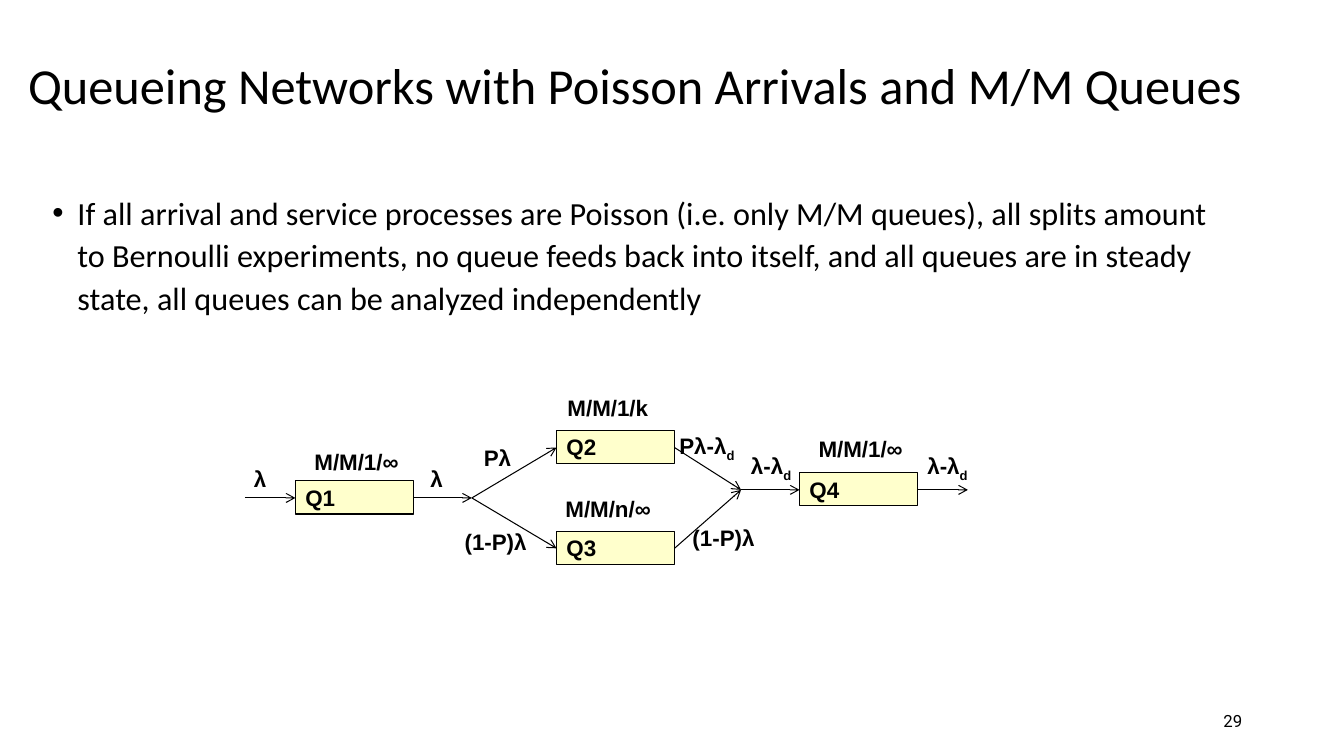
from lxml.etree import SubElement
from pptx import Presentation
from pptx.dml.color import RGBColor
from pptx.enum.shapes import MSO_CONNECTOR, MSO_SHAPE
from pptx.enum.text import MSO_ANCHOR, PP_ALIGN
from pptx.oxml.ns import qn
from pptx.util import Pt

PX = 9144
HUE = {"ink": "000000", "box": "FFFFCC"}
BOX = (117, 33)
QUEUES = {"Q1": (293, 477), "Q2": (552, 427), "Q3": (552, 527), "Q4": (793, 469)}
FORK, JOIN = (468, 494), (735, 486)
LABELS = [
    ("M/M/1/∞", 302, 440, 105),
    ("M/M/1/∞", 802, 427, 105),
    ("M/M/n/∞", 551, 486, 106),
    ("M/M/1/k", 553, 386, 102),
    ("λ", 242, 457, 33),
    ("λ", 417, 457, 33),
    ("Pλ", 470, 436, 48),
    ("(1-P)λ", 451, 519, 83),
    ("(1-P)λ", 677, 515, 83),
    ("Pλ-λ_d", 664, 424, 77),
    ("λ-λ_d", 910, 444, 63),
    ("λ-λ_d", 735, 444, 63),
]


def emu(*vals):
    """Turn px lengths into EMU."""
    return [v * PX for v in vals]


def tint(name):
    """Return the named colour."""
    return RGBColor.from_string(HUE[name])


def write(shape, text, size=16, font="Arial", bold=False, wrap=True,
          anchor=MSO_ANCHOR.TOP, align=PP_ALIGN.LEFT, gap=None, lead=None):
    """Fill a shape with one paragraph; an underscore starts a subscript."""
    frame = shape.text_frame
    frame.word_wrap, frame.vertical_anchor = wrap, anchor
    para = frame.paragraphs[0]
    para.alignment, para.space_before, para.line_spacing = align, gap, lead
    for i, part in enumerate(text.split("_")):
        run = para.add_run()
        run.text = part
        run.font.size, run.font.name, run.font.bold = Pt(size), font, bold
        run.font.color.rgb = tint("ink")
        if i:
            run._r.get_or_add_rPr().set("baseline", "-25000")
    return para


def label(slide, text, box, **form):
    """Add a text box and return its paragraph."""
    return write(slide.shapes.add_textbox(*emu(*box)), text, **form)


def bullet(para, dent):
    """Give a paragraph a hanging bullet."""
    props = para._p.get_or_add_pPr()
    props.set("marL", str(dent * PX))
    props.set("indent", str(-dent * PX))
    SubElement(props, qn("a:buFont")).set("typeface", "Arial")
    SubElement(props, qn("a:buChar")).set("char", "•")


def queue(slide, name, spot):
    """Add a named queue box."""
    rect = slide.shapes.add_shape(MSO_SHAPE.RECTANGLE, *emu(*spot, *BOX))
    rect.shadow.inherit = False
    rect.fill.solid()
    rect.fill.fore_color.rgb = tint("box")
    rect.line.color.rgb = tint("ink")
    rect.line.width = Pt(0.75)
    write(rect, name, bold=True, anchor=MSO_ANCHOR.MIDDLE)


def arrow(slide, start, end):
    """Add a thin line with an open arrowhead at its end."""
    line = slide.shapes.add_connector(MSO_CONNECTOR.STRAIGHT, *emu(*start, *end))
    line.line.color.rgb = tint("ink")
    line.line.width = Pt(0.75)
    props = line.element.spPr
    SubElement(props.find(qn("a:ln")), qn("a:tailEnd")).set("type", "arrow")
    SubElement(props, qn("a:effectLst"))


def port(name, out=False):
    """Return the middle of a queue's left or right side."""
    left, top = QUEUES[name]
    return left + BOX[0] * out, top + 17


def flow(slide):
    """Draw the queue network."""
    for name, spot in QUEUES.items():
        queue(slide, name, spot)
    first, last = port("Q1"), port("Q4", True)
    arrow(slide, (first[0] - 50, first[1]), first)
    arrow(slide, port("Q1", True), FORK)
    for name in ("Q2", "Q3"):
        arrow(slide, FORK, port(name))
        arrow(slide, port(name, True), JOIN)
    arrow(slide, JOIN, port("Q4"))
    arrow(slide, last, (last[0] + 50, last[1]))
    for text, left, top, wide in LABELS:
        label(slide, text, (left, top, wide, 37), bold=True, wrap=False)


def main():
    """Build and save the slide."""
    deck = Presentation()
    deck.slide_width, deck.slide_height = emu(1333, 750)
    slide = deck.slides.add_slide(deck.slide_layouts[6])
    label(slide, "29", (942, 695, 300, 40), size=12, font="Roboto",
          anchor=MSO_ANCHOR.MIDDLE, align=PP_ALIGN.RIGHT)
    label(slide, "Queueing Networks with Poisson Arrivals and M/M Queues",
          (18, 25, 1245, 125), size=36, font="Calibri",
          anchor=MSO_ANCHOR.MIDDLE, lead=0.9)
    body = label(slide, "If all arrival and service processes are Poisson "
                 "(i.e. only M/M queues), all splits amount to Bernoulli "
                 "experiments, no queue feeds back into itself, and all queues "
                 "are in steady state, all queues can be analyzed independently",
                 (42, 183, 1199, 488), size=23, font="Calibri",
                 gap=Pt(10), lead=1.1)
    bullet(body, 25)
    flow(slide)
    deck.save("out.pptx")


if __name__ == "__main__":
    main()
